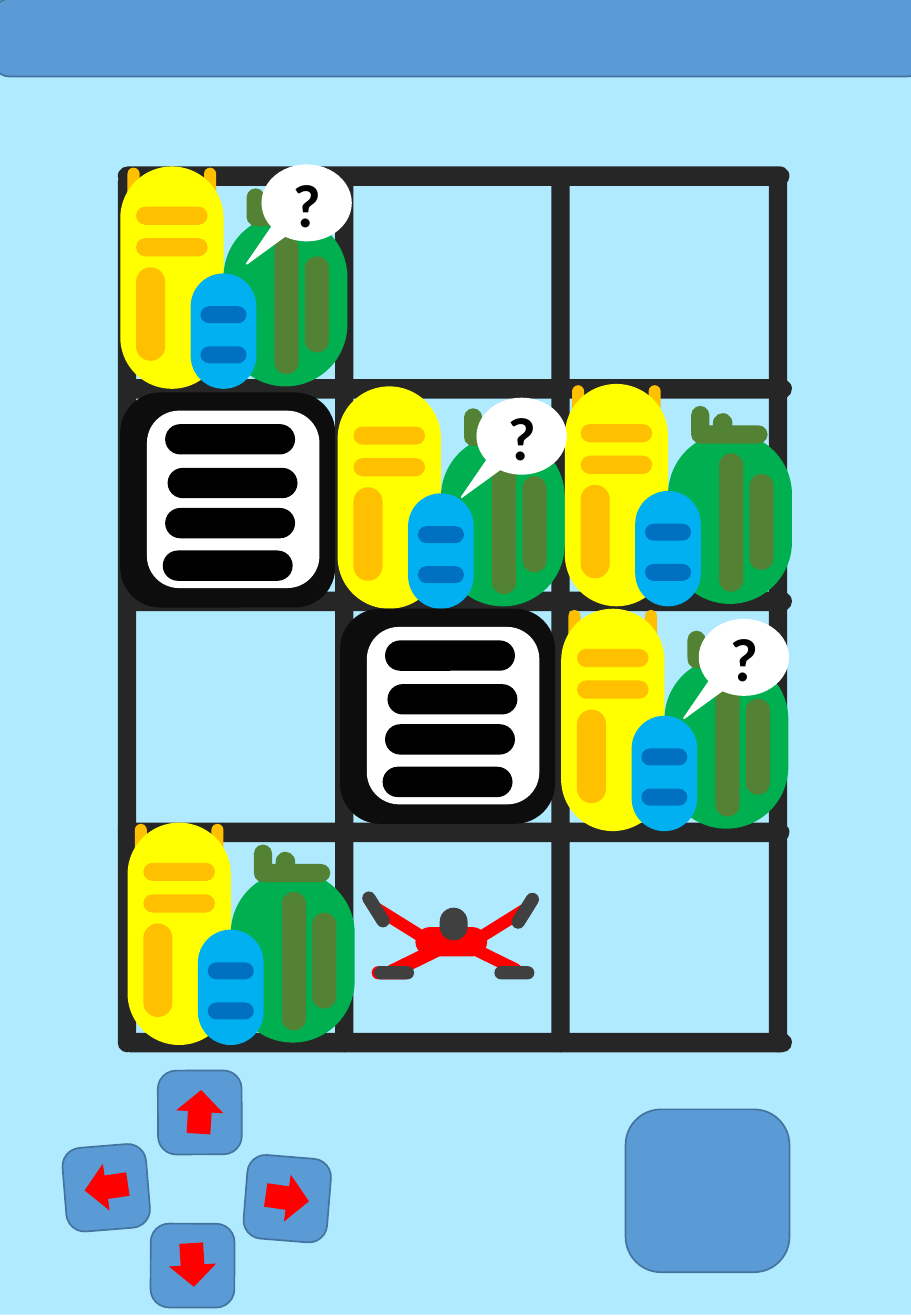
from pptx import Presentation
from pptx.dml.color import RGBColor
from pptx.enum.shapes import MSO_SHAPE
from pptx.enum.text import MSO_ANCHOR, PP_ALIGN
from pptx.util import Emu, Pt

RECTANGLE = MSO_SHAPE.RECTANGLE
ROUNDED = MSO_SHAPE.ROUNDED_RECTANGLE
UP_ARROW = MSO_SHAPE.UP_ARROW
CALLOUT = MSO_SHAPE.OVAL_CALLOUT
CENTER = PP_ALIGN.CENTER
MIDDLE = MSO_ANCHOR.MIDDLE

PX = 9144  # EMU in one px, 100 px to the inch
PAGE_WIDTH, PAGE_HEIGHT = 750, 1083
PILL = 0.5
CRATE_CORNER = 0.186
BUTTON_CORNER = 0.218

COLORS = {
    "sky": "AFEAFF", "grid": "262626", "crate": "0D0D0D",
    "white": "FFFFFF", "black": "000000", "red": "FF0000", "gray": "404040",
    "yellow": "FFFF00", "orange": "FFC000", "green": "00B050", "olive": "548235",
    "blue": "00B0F0", "navy": "0070C0", "button": "5B9BD5", "edge": "43739E",
}

# Parts are left, top, width, height, colour and, where turned, rotation.
STRAPS = [(6, 1, 10, 26, "orange"), (69, 1, 10, 26, "orange")]
BAGS = [
    (0, 0, 85, 183, "yellow"), (85, 40, 102, 141, "green"), (58, 88, 54, 95, "blue"),
    (13, 33, 59, 15, "orange"), (13, 59, 59, 15, "orange"), (13, 83, 24, 77, "orange"),
    (66, 115, 38, 14, "navy"), (66, 148, 38, 14, "navy"),
    (152, 74, 20, 79, "olive"), (127, 57, 20, 114, "olive"),
    (104, 34, 63, 15, "olive"), (104, 18, 15, 29, "olive"), (122, 24, 16, 22, "olive"),
]
LUGGAGE = [(105, 677, True), (462, 501, True), (278, 318, False),
           (99, 137, True), (465, 316, True)]
CRATES = [(99, 323), (280, 501)]
CRATE_SLATS = [(37, 26), (39, 62), (37, 95), (35, 130)]
PLAYER = [
    (373, 782, 59, 10, "red", 26.1), (315, 783, 59, 10, "red", 333.9),
    (342, 763, 59, 24, "red"), (306, 795, 33, 11, "red"),
    (407, 795, 33, 11, "gray"), (362, 747, 23, 27, "gray"),
    (317, 784, 59, 10, "red", 333.9), (308, 795, 33, 11, "gray"),
    (302, 756, 59, 10, "red", 31.9), (293, 743, 33, 11, "gray", 58),
    (381, 757, 59, 10, "red", 328.1), (416, 744, 33, 11, "gray", 302),
]
BUBBLES = [(393, 328), (576, 510), (216, 136)]
# Left, top, button rotation, arrow rotation
ARROW_BUTTONS = [(130, 881, 359.8, 3.6), (202, 952, 94.6, 98.4),
                 (53, 943, 265.4, 261.6), (124, 1007, 0.2, 176.4)]


class Board:
    """Holds the style and the current slide."""

    def __init__(self, page, font="Calibri"):
        self.page = page
        self.font = font

    def shape(self, kind, left, top, width, height, color, rotation=0,
              corner=None, edge=None, group=None):
        owner = group if group is not None else self.page
        box = owner.shapes.add_shape(kind, *(Emu(n * PX) for n in (left, top, width, height)))
        box.shadow.inherit = False
        box.rotation = rotation
        box.fill.solid()
        box.fill.fore_color.rgb = RGBColor.from_string(COLORS[color])
        if edge:
            box.line.color.rgb = RGBColor.from_string(COLORS[edge])
            box.line.width = Pt(1)
        else:
            box.line.fill.background()
        if corner is not None:
            box.adjustments[0] = corner
        return box

    def text(self, box, text, size, color, bold=False, align=CENTER):
        frame = box.text_frame
        frame.vertical_anchor = MIDDLE
        para = frame.paragraphs[0]
        para.alignment = align
        span = para.add_run()
        span.text = text
        span.font.name = self.font
        span.font.size = Pt(size)
        span.font.bold = bold
        span.font.color.rgb = RGBColor.from_string(COLORS[color])

    def pills(self, parts, left=0, top=0, group=None):
        """Draws fully rounded parts, moved by left and top, as one group."""
        if group is None:
            group = self.page.shapes.add_group_shape()
        for x, y, width, height, color, *turn in parts:
            self.shape(ROUNDED, left + x, top + y, width, height, color,
                       rotation=turn[0] if turn else 0, corner=PILL, group=group)

    def grid(self):
        columns = [(round(97 + 178.67 * i), 142, 15, 724, "grid") for i in range(4)]
        rows = [(left, top, 553, 16, "grid") for left, top in
                [(97, 137), (99, 312), (99, 487), (99, 850), (97, 677)]]
        self.pills(columns + rows)

    def luggage(self, left, top, straps):
        self.pills(STRAPS + BAGS if straps else BAGS, left, top)

    def crate(self, left, top):
        group = self.page.shapes.add_group_shape()
        self.shape(ROUNDED, left, top, 177, 177, "crate", corner=CRATE_CORNER, group=group)
        self.shape(ROUNDED, left + 22, top + 15, 142, 146, "white",
                   corner=CRATE_CORNER, group=group)
        self.pills([(x, y, 107, 25, "black") for x, y in CRATE_SLATS], left, top, group)

    def bubble(self, left, top):
        box = self.shape(CALLOUT, left, top, 73, 62, "white", edge="white")
        box.adjustments[0] = -0.676
        box.adjustments[1] = 0.808
        self.text(box, "?", size=36, color="black", bold=True)

    def button(self, left, top, width, height, rotation=0, group=None):
        self.shape(ROUNDED, left, top, width, height, "button", rotation,
                   BUTTON_CORNER, "edge", group)

    def arrow_button(self, left, top, rotation, arrow_rotation):
        group = self.page.shapes.add_group_shape()
        self.button(left, top, 69, 69, rotation, group)
        self.shape(UP_ARROW, left + 15, top + 16, 39, 36, "red", arrow_rotation, group=group)


def main():
    deck = Presentation()
    deck.slide_width = Emu(PAGE_WIDTH * PX)
    deck.slide_height = Emu(PAGE_HEIGHT * PX)
    board = Board(deck.slides.add_slide(deck.slide_layouts[6]))

    board.shape(RECTANGLE, -3, -15, 756, 1097, "sky")
    board.grid()
    for place in LUGGAGE:
        board.luggage(*place)
    for place in CRATES:
        board.crate(*place)
    board.pills(PLAYER)
    for place in BUBBLES:
        board.bubble(*place)
    for place in ARROW_BUTTONS:
        board.arrow_button(*place)
    board.button(515, 913, 135, 134)
    board.button(-6, -1, 767, 64)

    deck.save("out.pptx")


if __name__ == "__main__":
    main()
